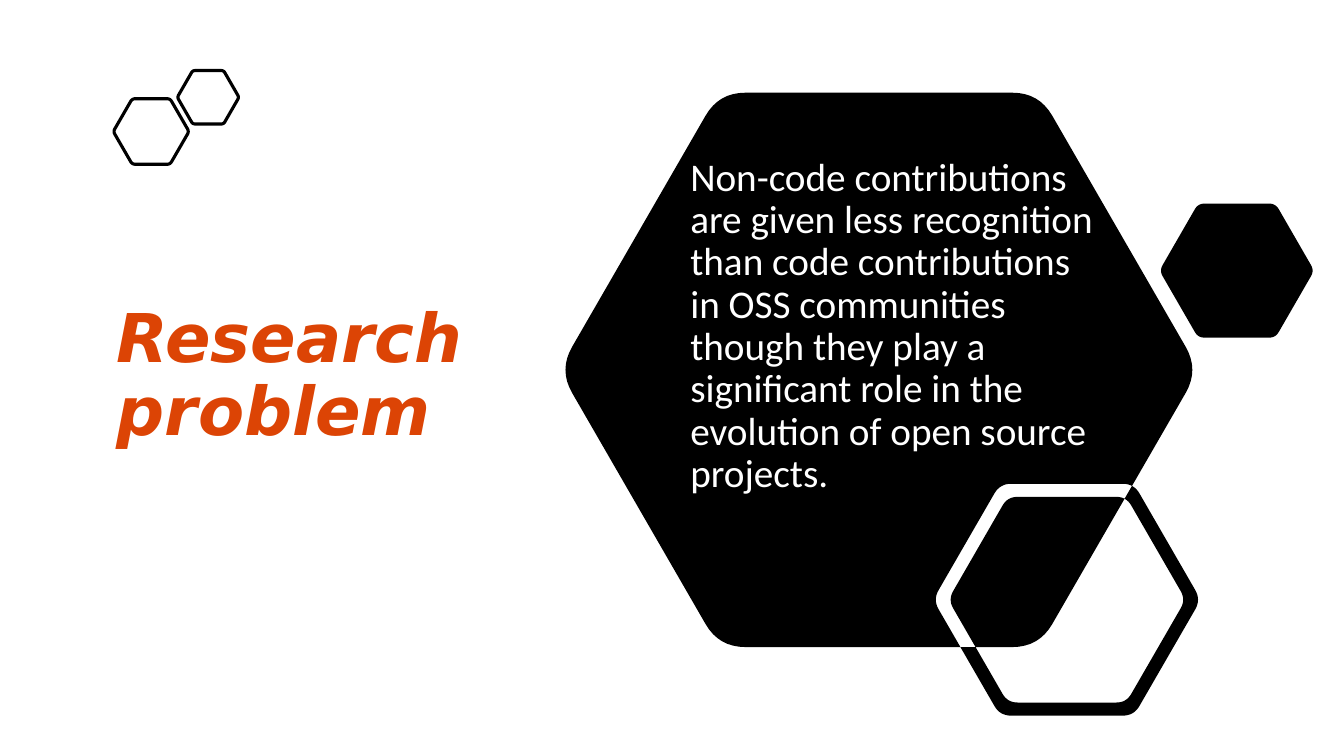
from math import cos, pi, sin, sqrt
from pptx import Presentation
from pptx import util as u
from pptx.dml.color import RGBColor
from pptx.enum import text as t

WIDE, HIGH = u.Inches(13.333), u.Inches(7.5)
CUT = 0.083
STEPS = 8


def across(share):
    return round(WIDE * share / 100)


def down(share):
    return round(HIGH * share / 100)


def paint(target, color):
    target.solid()
    target.fore_color.rgb = RGBColor.from_string(color)


def mix(start, end, share):
    return tuple(a + (b - a) * share for a, b in zip(start, end))


def hexagon(x, y, height):
    side = down(height) / sqrt(3)
    tips = [(across(x) + side * cos(i * pi / 3), down(y) + side * sin(i * pi / 3))
            for i in range(6)]
    points = []
    for i, tip in enumerate(tips):
        enter = mix(tip, tips[i - 1], CUT)
        leave = mix(tip, tips[(i + 1) % 6], CUT)
        for step in range(STEPS + 1):
            share = step / STEPS
            points.append(mix(mix(enter, tip, share), mix(tip, leave, share), share))
    return [(round(a), round(b)) for a, b in points]


def add_hexes(slide, hexes, fill=None, line=None):
    rings = [hexagon(*spot) for spot in hexes]
    form = slide.shapes.build_freeform(*rings[0][0], scale=1.0)
    for i, ring in enumerate(rings):
        if i:
            form.move_to(*ring[0])
        form.add_line_segments(ring[1:], close=True)
    shape = form.convert_to_shape()
    shape.shadow.inherit = False
    if fill:
        paint(shape.fill, fill)
    else:
        shape.fill.background()
    if line:
        paint(shape.line.fill, line)
        shape.line.width = u.Pt(2.25)
    else:
        shape.line.fill.background()


def write(shape, words, size, face, color, anchor, strong=False):
    frame = shape.text_frame
    frame.text = words
    frame.word_wrap = True
    frame.auto_size = t.MSO_AUTO_SIZE.NONE
    frame.vertical_anchor = anchor
    para = frame.paragraphs[0]
    para.alignment = t.PP_ALIGN.LEFT
    para.line_spacing = 0.9
    font = para.font
    font.size, font.name = u.Pt(size), face
    font.bold = font.italic = strong
    font.color.rgb = RGBColor.from_string(color)


def main():
    deck = Presentation()
    deck.slide_width, deck.slide_height = WIDE, HIGH
    slide = deck.slides.add_slide(deck.slide_layouts[5])

    title = slide.shapes.title
    title.left, title.top = across(7.95), down(22.8)
    title.width, title.height = across(30.45), down(54.13)
    write(title, "Research problem", 48, "DejaVu Sans", "DC4405",
          t.MSO_ANCHOR.MIDDLE, strong=True)

    for spot in [(11.25, 17.4, 8.67), (15.49, 12.87, 7.07)]:
        add_hexes(slide, [spot], line="000000")
    add_hexes(slide, [(65.4, 48.93, 73.33), (92.03, 35.8, 17.73),
                      (79.39, 79.33, 30.67), (79.39, 79.33, 27.2)], fill="000000")

    body = slide.shapes.add_textbox(across(50.63), down(20.13),
                                    across(32.25), down(46.67))
    write(body, "Non-code contributions are given less recognition than code "
          "contributions in OSS communities though they play a significant role "
          "in the evolution of open source projects.",
          28, "Calibri", "FFFFFF", t.MSO_ANCHOR.TOP)

    deck.save("out.pptx")


if __name__ == "__main__":
    main()
